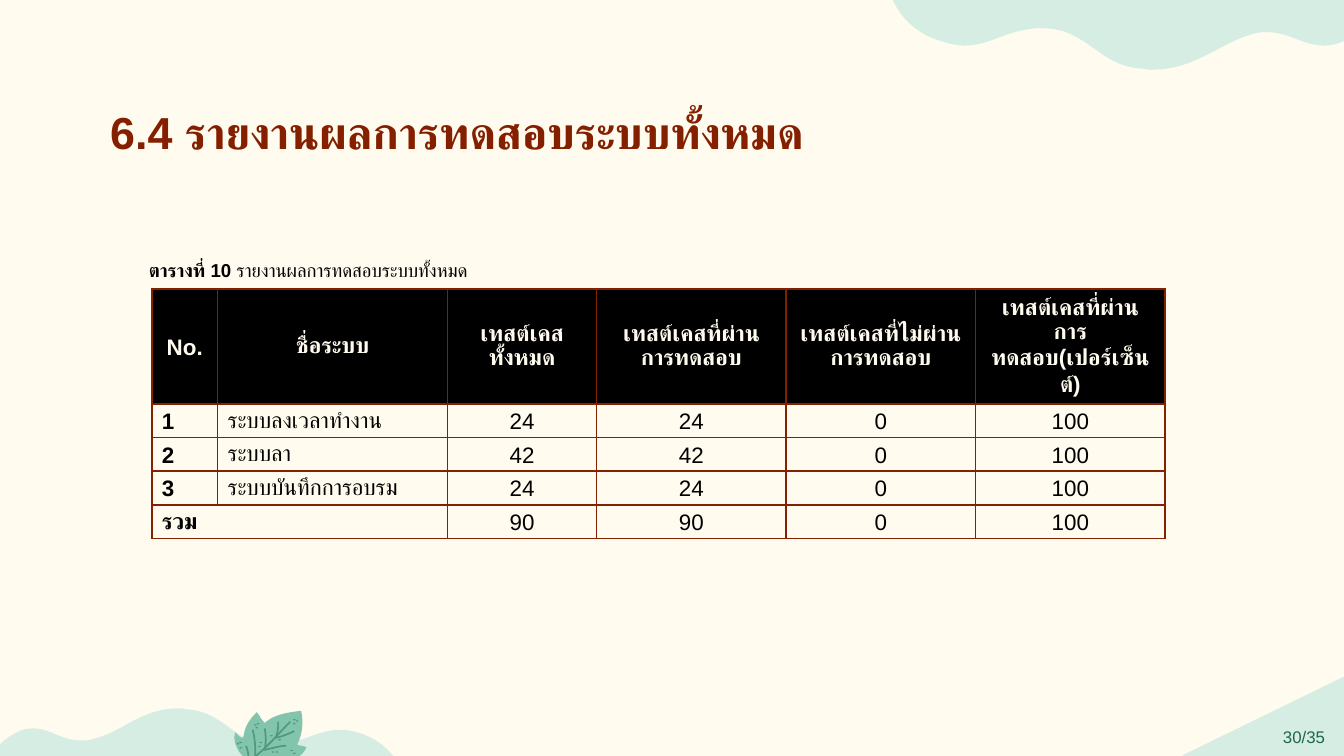
"""Build the slide that reports the results of all system tests."""
from lxml.etree import SubElement
from pptx import Presentation
from pptx.dml.color import RGBColor
from pptx.enum.shapes import MSO_SHAPE
from pptx.enum.text import MSO_ANCHOR, MSO_AUTO_SIZE, PP_ALIGN
from pptx.oxml.ns import qn
from pptx.util import Pt

PX = 9144
SLIDE_WIDTH = 1000 * PX
SLIDE_HEIGHT = SLIDE_WIDTH * 9 // 16
CURVE_STEPS = 12
FONT = "Arial"
COLORS = {
    "paper": "FFFBEE",
    "mint": "D6EDE4",
    "leaf": "83C4AD",
    "vein": "4F997C",
    "brown": "841F00",
    "black": "000000",
    "green": "1F684C",
}

TOP_WAVE = [
    (857, 52), (890, 52, 907, 32, 933, 25), (937, 24, 940, 24, 943, 24),
    (959, 24, 970, 34, 985, 34), (990, 34, 996, 33, 1003, 29),
    (1020, 20, 1021, 8, 1021, -4), (663, -3), (668, 9, 676, 21, 695, 29),
    (704, 32, 711, 34, 718, 34), (737, 34, 749, 22, 773, 21),
    (774, 21, 775, 21, 776, 21), (808, 21, 817, 48, 847, 51),
    (851, 51, 854, 52, 857, 52),
]
BOTTOM_WAVE = [
    (-7, 575), (299, 574), (295, 564, 288, 554, 272, 547),
    (264, 544, 258, 543, 253, 543), (236, 543, 226, 553, 205, 554),
    (205, 554, 204, 554, 203, 554), (175, 554, 168, 531, 142, 528),
    (139, 528, 136, 527, 133, 527), (105, 527, 91, 545, 69, 550),
    (66, 551, 63, 551, 60, 551), (46, 551, 37, 542, 25, 542),
    (20, 542, 15, 543, 9, 547), (-5, 555, -7, 565, -7, 575),
]
LEAF = [
    (224, 529), (214, 530, 203, 532, 197, 538), (194, 535, 193, 532, 191, 530),
    (185, 536, 182, 541, 181, 549), (179, 549, 178, 548, 175, 545),
    (173, 551, 176, 561, 187, 568), (190, 572, 198, 575, 204, 575),
    (207, 575, 210, 575, 212, 574), (210, 572, 207, 570, 205, 569),
    (215, 567, 225, 564, 228, 556), (226, 555, 223, 555, 221, 554),
    (225, 547, 226, 537, 224, 529),
]
VEINS = [
    [(216, 537), (205, 548, 195, 561, 181, 569), (177, 571, 172, 573, 168, 575)],
    [(207, 537), (207, 541, 207, 545, 205, 549), (210, 548, 215, 546, 219, 544)],
    [(197, 542), (198, 547, 198, 553, 197, 558), (202, 557, 208, 555, 213, 555)],
    [(188, 543), (190, 550, 190, 557, 190, 564), (197, 563, 205, 563, 213, 564)],
    [(183, 555), (185, 559, 185, 564, 185, 568), (190, 570, 195, 570, 201, 570)],
]
SPECKLES = [
    (216, 558), (218, 560), (189, 539), (191, 538), (190, 541), (218, 535),
    (218, 538), (220, 536), (193, 552), (192, 555), (202, 559), (205, 559),
    (207, 550), (201, 547), (176, 553), (178, 552), (178, 556),
]

COLUMN_WIDTHS = [49, 171, 111, 141, 141, 141]
ROW_HEIGHTS = [50, 25, 25, 25, 25]
ROWS = [
    ["No.", "ชื่อระบบ", "เทสต์เคสทั้งหมด", "เทสต์เคสที่ผ่านการทดสอบ",
     "เทสต์เคสที่ไม่ผ่านการทดสอบ", "เทสต์เคสที่ผ่านการทดสอบ(เปอร์เซ็นต์)"],
    ["1", "ระบบลงเวลาทำงาน", "24", "24", "0", "100"],
    ["2", "ระบบลา", "42", "42", "0", "100"],
    ["3", "ระบบบันทึกการอบรม", "24", "24", "0", "100"],
    ["รวม", "", "90", "90", "0", "100"],
]


def color(name):
    return RGBColor.from_string(COLORS[name])


def trace(outline):
    points = [outline[0]]
    for segment in outline[1:]:
        if len(segment) == 2:
            points.append(segment)
            continue
        x0, y0 = points[-1]
        x1, y1, x2, y2, x3, y3 = segment
        for step in range(1, CURVE_STEPS + 1):
            t = step / CURVE_STEPS
            a, b, c, d = (1 - t) ** 3, 3 * t * (1 - t) ** 2, 3 * t * t * (1 - t), t ** 3
            points.append((a * x0 + b * x1 + c * x2 + d * x3,
                           a * y0 + b * y1 + c * y2 + d * y3))
    return [(round(x * PX), round(y * PX)) for x, y in points]


class SlideBuilder:
    def __init__(self, presentation):
        self.slide = presentation.slides.add_slide(presentation.slide_layouts[5])
        self.shapes = self.slide.shapes
        self.slide.background.fill.solid()
        self.slide.background.fill.fore_color.rgb = color("paper")

    def style(self, paragraph, size, ink, bold=None, align=PP_ALIGN.LEFT):
        paragraph.alignment = align
        paragraph.font.name = FONT
        paragraph.font.size = Pt(size)
        paragraph.font.bold = bold
        paragraph.font.color.rgb = color(ink)

    def paint(self, shape, fill):
        shape.shadow.inherit = False
        shape.fill.solid()
        shape.fill.fore_color.rgb = color(fill)
        shape.line.fill.background()

    def outline(self, segments, closed=True):
        points = trace(segments)
        builder = self.shapes.build_freeform(*points[0])
        builder.add_line_segments(points[1:], close=closed)
        return builder.convert_to_shape()

    def area(self, segments, fill):
        self.paint(self.outline(segments), fill)

    def stroke(self, segments, ink, width):
        shape = self.outline(segments, closed=False)
        shape.shadow.inherit = False
        shape.fill.background()
        shape.line.color.rgb = color(ink)
        shape.line.width = Pt(width)

    def preset(self, kind, left, top, width, height, fill):
        shape = self.shapes.add_shape(kind, left * PX, top * PX, width * PX, height * PX)
        self.paint(shape, fill)
        return shape

    def title(self, text, left, top, width, height):
        shape = self.shapes.title
        shape.left, shape.top, shape.width, shape.height = (
            left * PX, top * PX, width * PX, height * PX)
        frame = shape.text_frame
        frame.text = text
        frame.vertical_anchor = MSO_ANCHOR.TOP
        frame.auto_size = MSO_AUTO_SIZE.SHAPE_TO_FIT_TEXT
        self.style(frame.paragraphs[0], 24, "brown", True)

    def caption(self, label, text, left, top, width, height):
        box = self.shapes.add_textbox(left * PX, top * PX, width * PX, height * PX)
        box.text_frame.word_wrap = True
        paragraph = box.text_frame.paragraphs[0]
        self.style(paragraph, 10, "black")
        for words, bold in ((label, True), (text, False)):
            run = paragraph.add_run()
            run.text = words
            run.font.bold = bold

    def page_corner(self, text, left, top, width, height):
        shape = self.preset(MSO_SHAPE.ISOSCELES_TRIANGLE, left, top, width, height, "mint")
        shape.adjustments[0] = 1
        shape.line.color.rgb = color("mint")
        shape.line.width = Pt(2)
        shape.text_frame.text = text
        shape.text_frame.vertical_anchor = MSO_ANCHOR.MIDDLE
        self.style(shape.text_frame.paragraphs[0], 9, "green", align=PP_ALIGN.CENTER)

    def cell(self, cell, text, header, bold, centered):
        cell.text = text
        cell.vertical_anchor = MSO_ANCHOR.MIDDLE
        cell.margin_left = cell.margin_right = Pt(5.4)
        cell.margin_top = cell.margin_bottom = 0
        paragraph = cell.text_frame.paragraphs[0]
        self.style(paragraph, 12, "paper" if header else "black", bold,
                   PP_ALIGN.CENTER if centered else PP_ALIGN.LEFT)
        paragraph.line_spacing = 1.07
        properties = cell._tc.get_or_add_tcPr()
        for side in ("a:lnL", "a:lnR", "a:lnT", "a:lnB"):
            border = SubElement(properties, qn(side), w=str(Pt(1)))
            SubElement(SubElement(border, qn("a:solidFill")), qn("a:srgbClr"), val=COLORS["brown"])
        if header:
            cell.fill.solid()
            cell.fill.fore_color.rgb = color("black")
        else:
            cell.fill.background()

    def table(self, rows, left, top):
        table = self.shapes.add_table(
            len(rows), len(COLUMN_WIDTHS), left * PX, top * PX,
            sum(COLUMN_WIDTHS) * PX, sum(ROW_HEIGHTS) * PX).table
        table.first_row = table.horz_banding = False
        for column, width in zip(table.columns, COLUMN_WIDTHS):
            column.width = width * PX
        for row, height in zip(table.rows, ROW_HEIGHTS):
            row.height = height * PX
        for i, texts in enumerate(rows):
            for j, text in enumerate(texts):
                self.cell(table.cell(i, j), text, i == 0, i == 0 or j == 0, i == 0 or j > 1)
        last = len(rows) - 1
        table.cell(last, 0).merge(table.cell(last, 1))


def main():
    presentation = Presentation()
    presentation.slide_width, presentation.slide_height = SLIDE_WIDTH, SLIDE_HEIGHT
    builder = SlideBuilder(presentation)
    builder.area(TOP_WAVE, "mint")
    builder.area(BOTTOM_WAVE, "mint")
    builder.area(LEAF, "leaf")
    for vein in VEINS:
        builder.stroke(vein, "vein", 0.9)
    for left, top in SPECKLES:
        builder.preset(MSO_SHAPE.OVAL, left, top, 2, 1, "vein")
    builder.table(ROWS, 113, 215)
    builder.title("6.4 รายงานผลการทดสอบระบบทั้งหมด", 72, 73, 754, 50)
    builder.caption("ตารางที่ 10 ", "รายงานผลการทดสอบระบบทั้งหมด", 101, 188, 741, 27)
    builder.page_corner("30/35", 881, 505, 119, 58)
    presentation.save("out.pptx")


if __name__ == "__main__":
    main()
